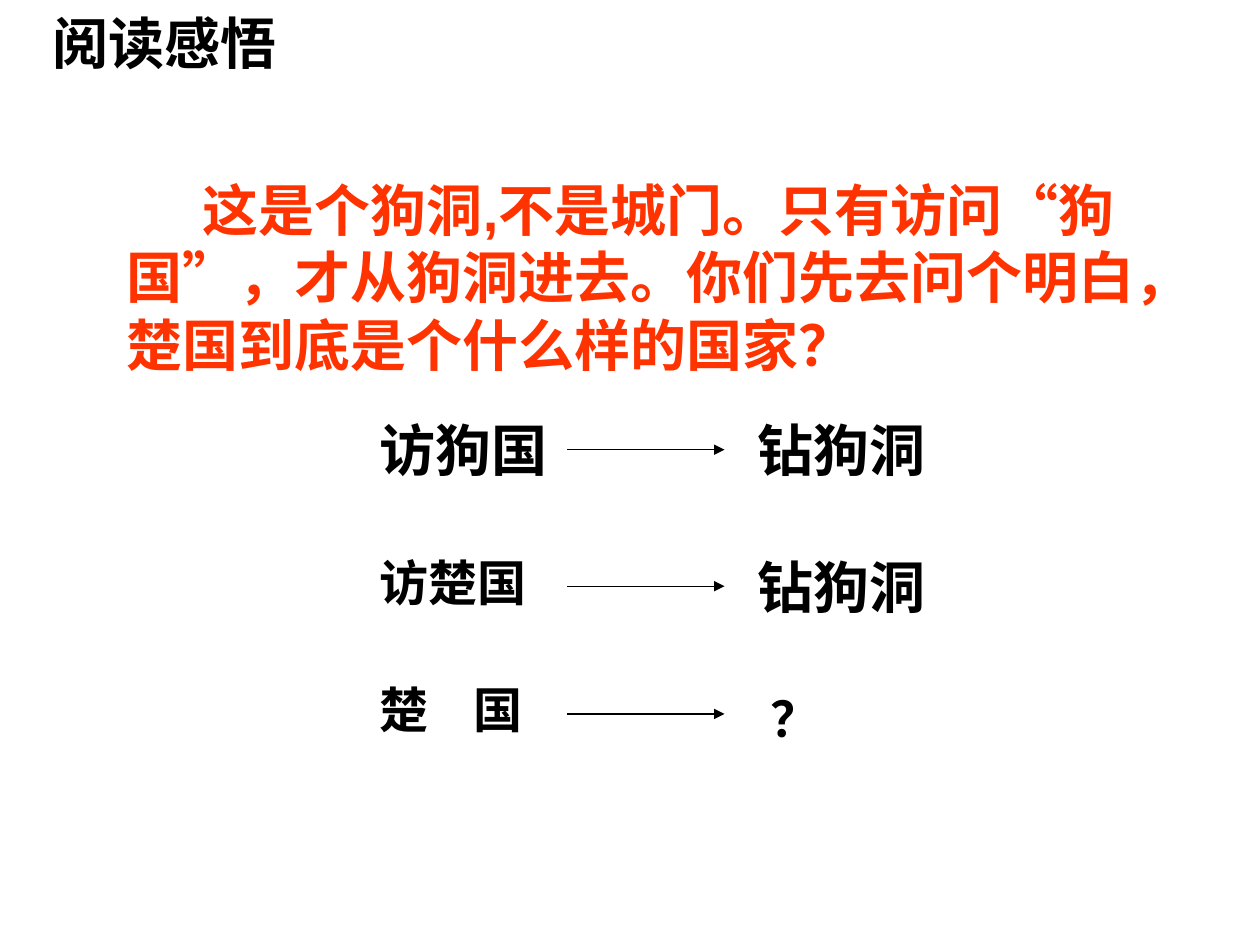
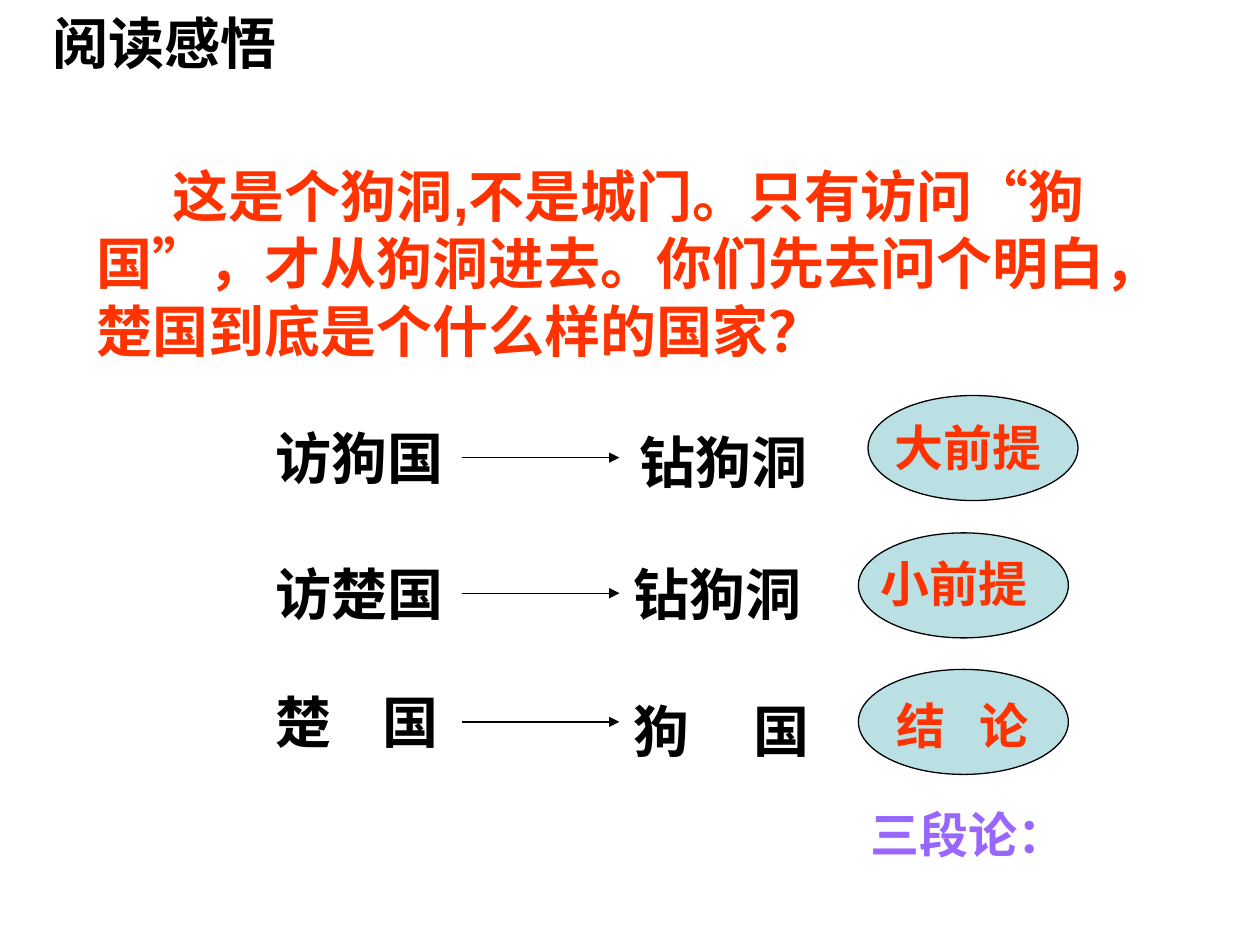
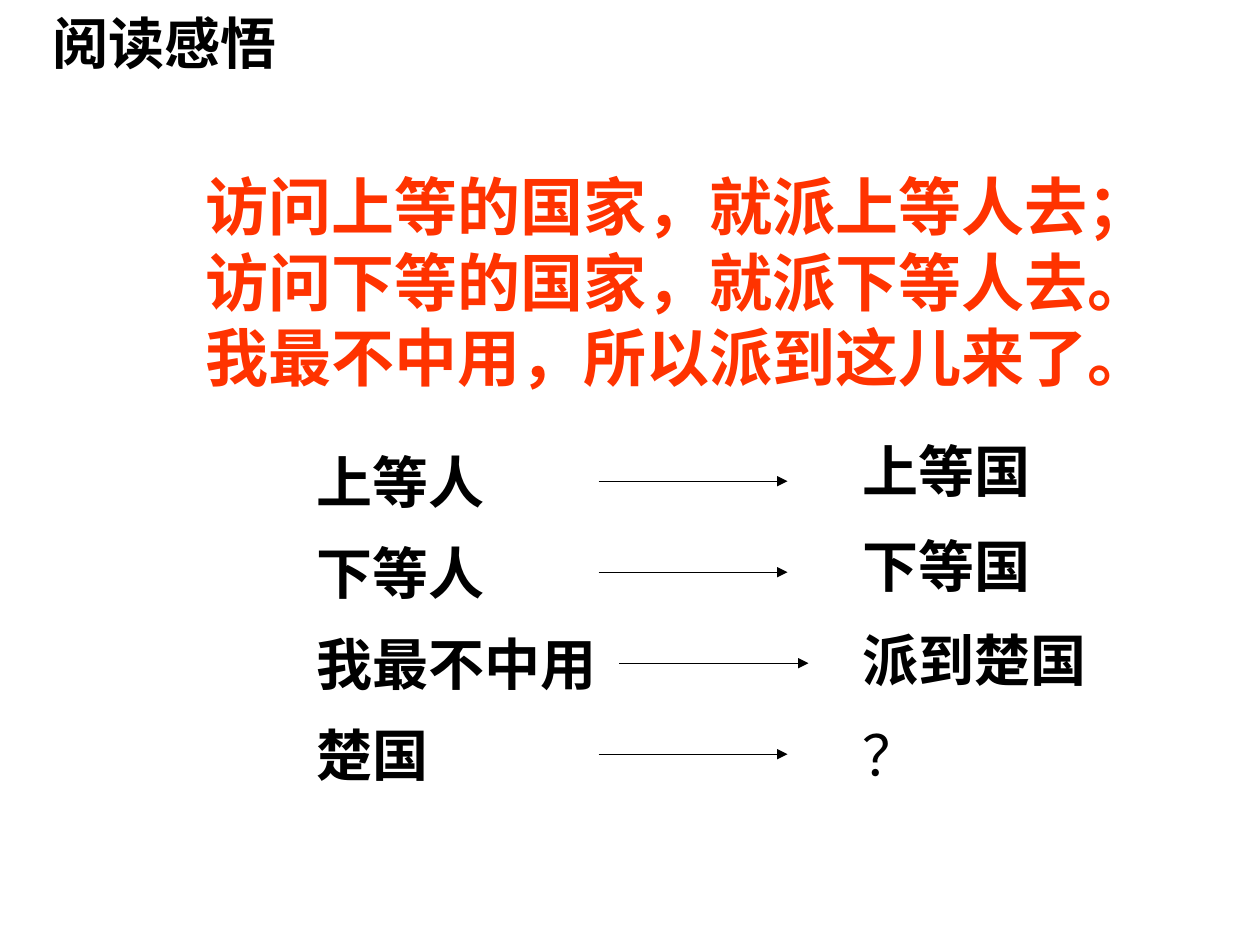
from pptx import Presentation
from pptx.dml.color import RGBColor
from pptx.enum.lang import MSO_LANGUAGE_ID
from pptx.enum.shapes import MSO_CONNECTOR, MSO_SHAPE
from pptx.enum.text import MSO_ANCHOR, MSO_AUTO_SIZE, PP_ALIGN
from pptx.oxml.ns import qn
from pptx.util import Pt
from lxml.etree import SubElement

COLORS = {
    "ink": "000000",
    "quote": "FF3300",
    "summary": "9966FF",
    "oval": "BBE0E3",
}
HEADING_FONT = "Arial"
BODY_FONT = "Times New Roman"
HEADING = "阅读感悟"
DOG_GATE = "这是个狗洞,不是城门。只有访问“狗国”，才从狗洞进去。你们先去问个明白，楚国到底是个什么样的国家？"
ENVOYS = "访问上等的国家，就派上等人去；访问下等的国家，就派下等人去。我最不中用，所以派到这儿来了。"
BOX_HEIGHT = 46


def color(name):
    return RGBColor.from_string(COLORS[name])


def add_span(para, text, size, font, tint, bold=True):
    span = para.add_run()
    span.text = text
    span.font.size = Pt(size)
    span.font.name = font
    span.font.bold = bold
    span.font.color.rgb = color(tint)
    span.font.language_id = MSO_LANGUAGE_ID.SIMPLIFIED_CHINESE


def set_tab(para, position):
    tabs = SubElement(para._p.get_or_add_pPr(), qn("a:tabLst"))
    SubElement(tabs, qn("a:tab"), pos=str(Pt(position)), algn="l")


def add_label(page, text, left, top, width, size=32, tint="ink", font=BODY_FONT,
              bold=True, align=PP_ALIGN.LEFT, tab=None):
    box = page.shapes.add_textbox(Pt(left), Pt(top), Pt(width), Pt(BOX_HEIGHT))
    box.text_frame.word_wrap = True
    para = box.text_frame.paragraphs[0]
    para.alignment = align
    if tab:
        set_tab(para, tab)
    add_span(para, text, size, font, tint, bold)
    return box


def add_arrow(page, source, end):
    middle = source.top + source.height // 2
    start = source.left + source.width
    arrow = page.shapes.add_connector(MSO_CONNECTOR.STRAIGHT, start, middle, Pt(end), middle)
    arrow.begin_connect(source, 3)
    arrow.line.color.rgb = color("ink")
    arrow.line.width = Pt(0.75)
    SubElement(arrow.line._get_or_add_ln(), qn("a:tailEnd"), type="triangle")
    SubElement(arrow._element.spPr, qn("a:effectLst"))


def add_premise(page, text, left, top, width, start, end, size=32, tab=None):
    source = add_label(page, text, left, top, start - left, size, tab=tab)
    add_arrow(page, source, end)


def add_oval(page, left, top):
    oval = page.shapes.add_shape(MSO_SHAPE.OVAL, Pt(left), Pt(top), Pt(120), Pt(60))
    oval.shadow.inherit = False
    oval.fill.solid()
    oval.fill.fore_color.rgb = color("oval")
    oval.line.color.rgb = color("ink")
    oval.line.width = Pt(0.75)


def add_page(deck, quote, left, top, width, height, size=32, indent=0, align=PP_ALIGN.LEFT):
    page = deck.slides.add_slide(deck.slide_layouts[5])
    title = page.shapes.title
    title.left, title.top, title.width, title.height = map(Pt, (left, top, width, height))
    frame = title.text_frame
    frame.word_wrap = True
    frame.auto_size = MSO_AUTO_SIZE.NONE
    frame.vertical_anchor = MSO_ANCHOR.MIDDLE
    para = frame.paragraphs[0]
    para.alignment = align
    para._p.get_or_add_pPr().set("indent", str(Pt(indent)))
    add_span(para, quote, size, HEADING_FONT, "quote")
    add_label(page, HEADING, 0.5, 1.5, 187, font=HEADING_FONT, align=PP_ALIGN.CENTER)
    return page


def add_question_page(deck):
    page = add_page(deck, DOG_GATE, 65, 83, 618, 150, indent=43.5)
    for text, top, size, tab in (("访狗国", 234, 32, None), ("访楚国", 312, 28, None),
                                 ("楚\t国", 385, 28, 53.5)):
        add_premise(page, text, 210, top, 114, 324, 414, size, tab)
    for text, left, top, size in (("钻狗洞", 426, 234, 32), ("钻狗洞", 426, 312, 32),
                                  ("？", 433, 390, 28)):
        add_label(page, text, left, top, 126, size)


def add_syllogism_page(deck):
    page = add_page(deck, DOG_GATE, 48, 75, 613, 150, indent=43.5)
    for text, top, tab in (("访狗国", 238.5, None), ("访楚国", 316, None), ("楚\t国", 389.5, 61)):
        add_premise(page, text, 150.5, top, 113.5, 264, 354, tab=tab)
    for text, left, top, tab in (("钻狗洞", 358.5, 240.5, None), ("钻狗洞", 355, 316, None),
                                 ("狗\t国", 355, 394.5, 68.5)):
        add_label(page, text, left, top, 126, tab=tab)
    for left, top in ((496, 226), (490.5, 304.5), (490.5, 382.5)):
        add_oval(page, left, top)
    for text, left, top, tab in (("大前提", 504, 235, None), ("小前提", 496, 313, None),
                                 ("结\t论", 505.5, 394, 47)):
        add_label(page, text, left, top, 116, 28, "quote", tab=tab)
    add_label(page, "三段论：", 490.5, 456, 136, 28, "summary")


def add_envoy_page(deck):
    page = add_page(deck, ENVOYS, 93.5, 88.5, 588, 144, size=36, align=PP_ALIGN.CENTER)
    rows = (("上等人", "上等国", 342), ("下等人", "下等国", 342),
            ("我最不中用", "派到楚国", 354), ("楚国", "？", 342))
    for index, (person, country, start) in enumerate(rows):
        add_premise(page, person, 174, 252 + 52 * index, start - 174, start, start + 108)
        add_label(page, country, 486, 246 + 54 * index, 162, bold=country != "？")


def main():
    deck = Presentation()
    deck.slide_width, deck.slide_height = Pt(720), Pt(540)
    add_question_page(deck)
    add_syllogism_page(deck)
    add_envoy_page(deck)
    deck.save("out.pptx")


if __name__ == "__main__":
    main()
